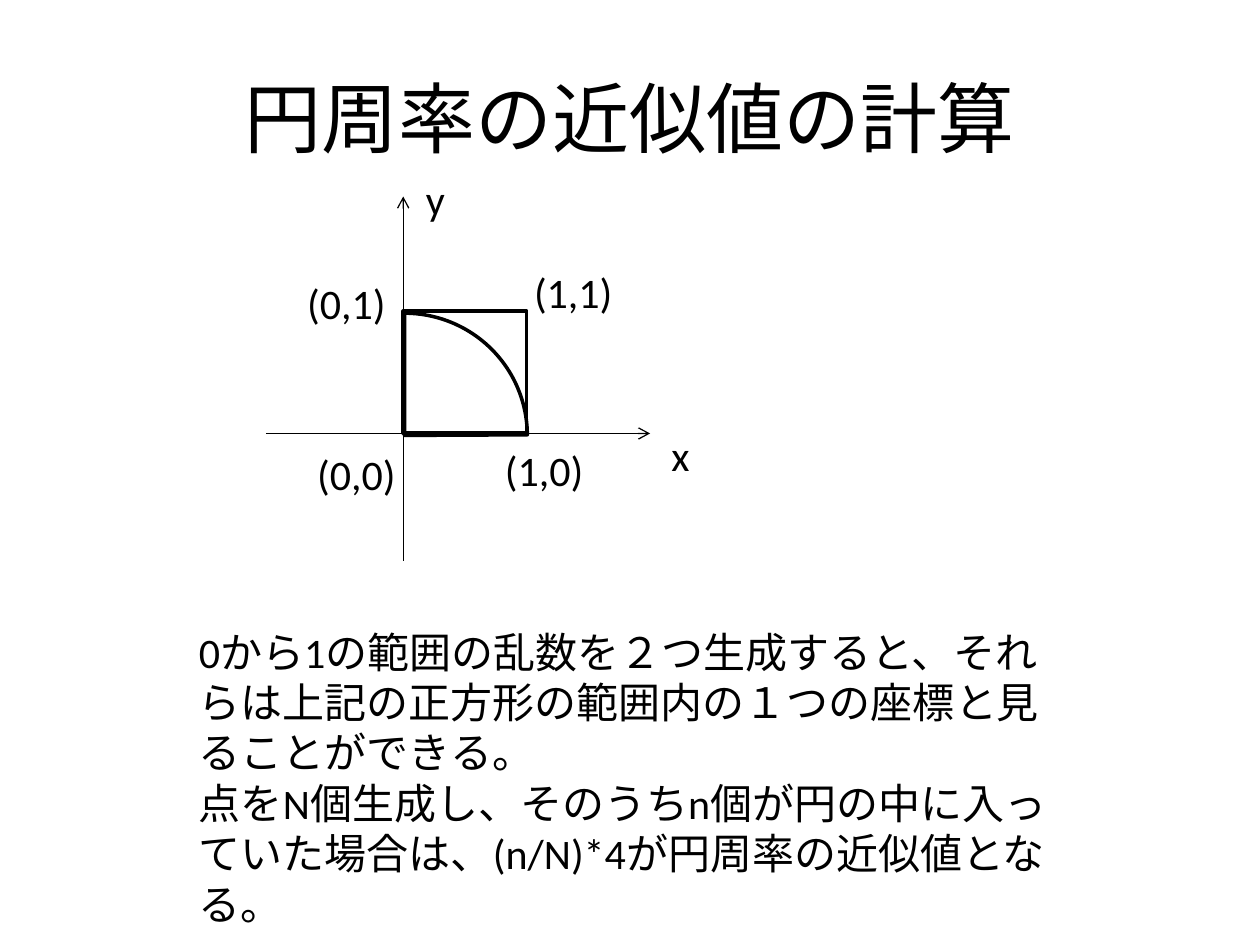
from dataclasses import dataclass

from lxml.etree import SubElement
from pptx import Presentation
from pptx.dml.color import RGBColor
from pptx.enum.lang import MSO_LANGUAGE_ID as Lang
from pptx.enum.shapes import MSO_CONNECTOR as Conn, MSO_SHAPE as Kind
from pptx.enum.text import MSO_ANCHOR as Anchor, PP_ALIGN as Align
from pptx.oxml.ns import qn
from pptx.util import Pt

BLACK = RGBColor(0, 0, 0)
FACE = {"name": "Calibri", "language_id": Lang.JAPANESE}


@dataclass
class Label:
    text: str
    left: float
    top: float
    width: float = 59.8
    height: float = 36
    size: float = 24
    wrap: bool = False
    align: Align = Align.LEFT
    anchor: Anchor = Anchor.TOP


@dataclass
class Axis:
    x1: float
    y1: float
    x2: float
    y2: float


@dataclass
class Figure:
    kind: Kind
    left: float
    top: float
    width: float
    height: float
    turn: float = 0
    angles: tuple = ()


def set_all(item, values: dict) -> None:
    for key, value in values.items():
        setattr(item, key, value)


def add_label(slide, label: Label) -> None:
    box = slide.shapes.add_textbox(
        Pt(label.left), Pt(label.top), Pt(label.width), Pt(label.height))
    frame = box.text_frame
    set_all(frame, {"text": label.text, "word_wrap": label.wrap,
                    "vertical_anchor": label.anchor})
    for para in frame.paragraphs:
        para.alignment = label.align
        for run in para.runs:
            set_all(run.font, FACE | {"size": Pt(label.size)})
            run.font.color.rgb = BLACK


def add_axis(slide, axis: Axis) -> None:
    line = slide.shapes.add_connector(
        Conn.STRAIGHT, Pt(axis.x1), Pt(axis.y1), Pt(axis.x2), Pt(axis.y2))
    line.line.width = Pt(0.75)
    line.line.color.rgb = BLACK
    props = line.line._get_or_add_ln()
    SubElement(props, qn("a:tailEnd"), type="arrow")
    SubElement(props.getparent(), qn("a:effectLst"))


def add_figure(slide, fig: Figure) -> None:
    shape = slide.shapes.add_shape(
        fig.kind, Pt(fig.left), Pt(fig.top), Pt(fig.width), Pt(fig.height))
    for index, angle in enumerate(fig.angles):
        shape.adjustments[index] = angle
    shape.rotation = fig.turn
    shape.shadow.inherit = False
    shape.fill.background()
    shape.line.width = Pt(2)
    shape.line.color.rgb = BLACK


TITLE = Label("円周率の近似値の計算", 36, 21.6, 648, 90, 44, True,
              Align.CENTER, Anchor.MIDDLE)
BODY = Label(
    "0から1の範囲の乱数を２つ生成すると、それらは上記の正方形の範囲内の"
    "１つの座標と見ることができる。\n"
    "点をN個生成し、そのうちn個が円の中に入っていた場合は、"
    "(n/N)*4が円周率の近似値となる。",
    106.6, 354.2, 511.9, 152.6, wrap=True)

# Corners of the unit square and names of the axes
MARKS = [
    Label("(0,0)", 174.2, 252.7),
    Label("(1,0)", 281.5, 250.6),
    Label("(0,1)", 168.5, 154.8),
    Label("(1,1)", 298.1, 149),
    Label("x", 376.6, 241.9, 22.3, wrap=True),
    Label("y", 236.2, 95.8, 22.3, wrap=True),
]

# Axes cross at the origin; the square and quarter circle start there
X0, Y0 = 230.4, 247.7
AXES = [Axis(151.9, Y0, 371.5, Y0), Axis(X0, 320.4, X0, 112.3)]
QUARTER = Figure(Kind.PIE, 161.3, 178.6, 139.7, 140.4, 270, (0, 53.84))
SQUARE = Figure(Kind.RECTANGLE, X0, 177.8, 70.6, 69.8)


def main() -> None:
    deck = Presentation()
    set_all(deck, {"slide_width": Pt(720), "slide_height": Pt(540)})
    slide = deck.slides.add_slide(deck.slide_layouts[6])

    # Diagram
    for fig in (QUARTER, SQUARE):
        add_figure(slide, fig)
    for axis in AXES:
        add_axis(slide, axis)

    # Text
    for label in (TITLE, *MARKS, BODY):
        add_label(slide, label)

    deck.save("out.pptx")


if __name__ == "__main__":
    main()
